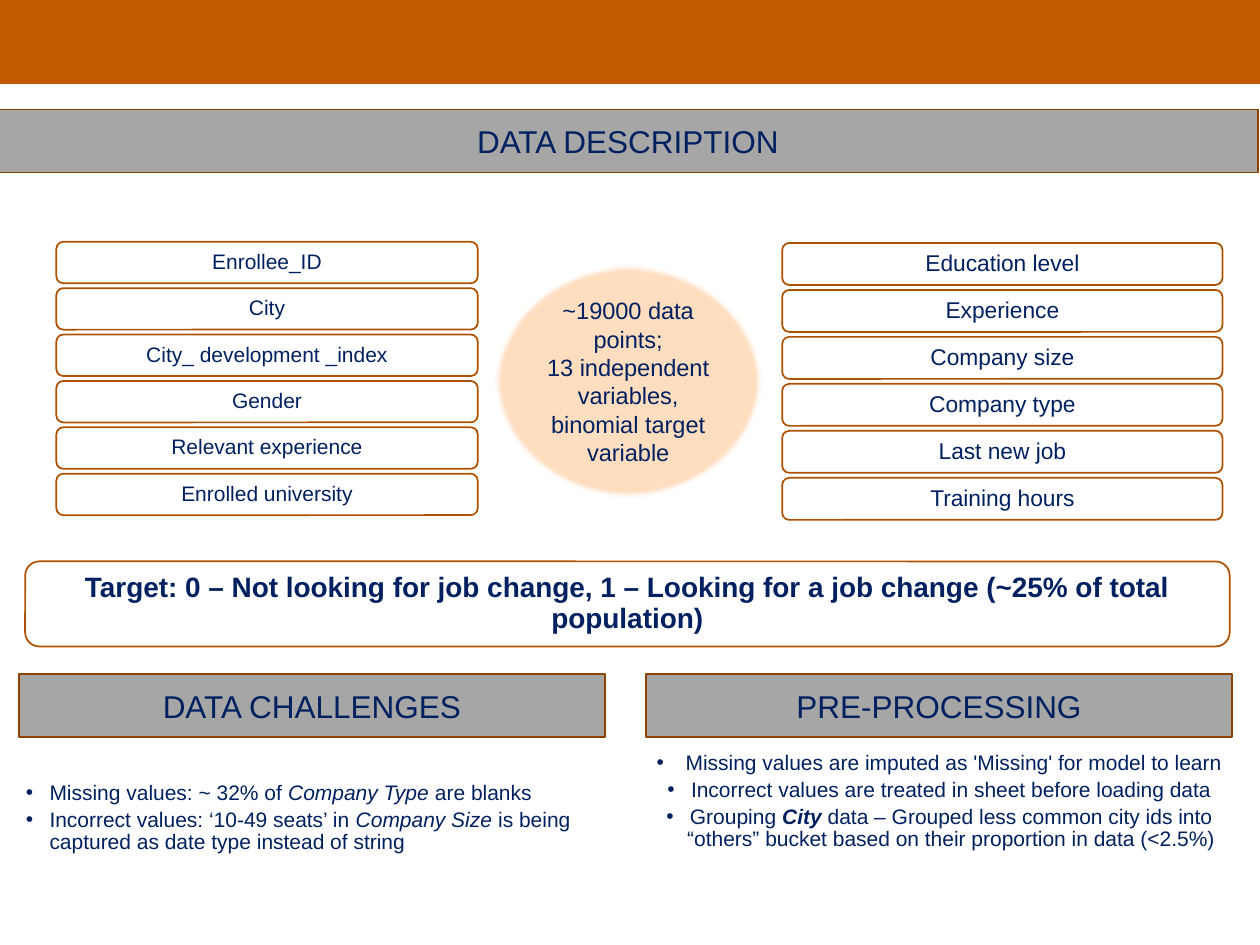
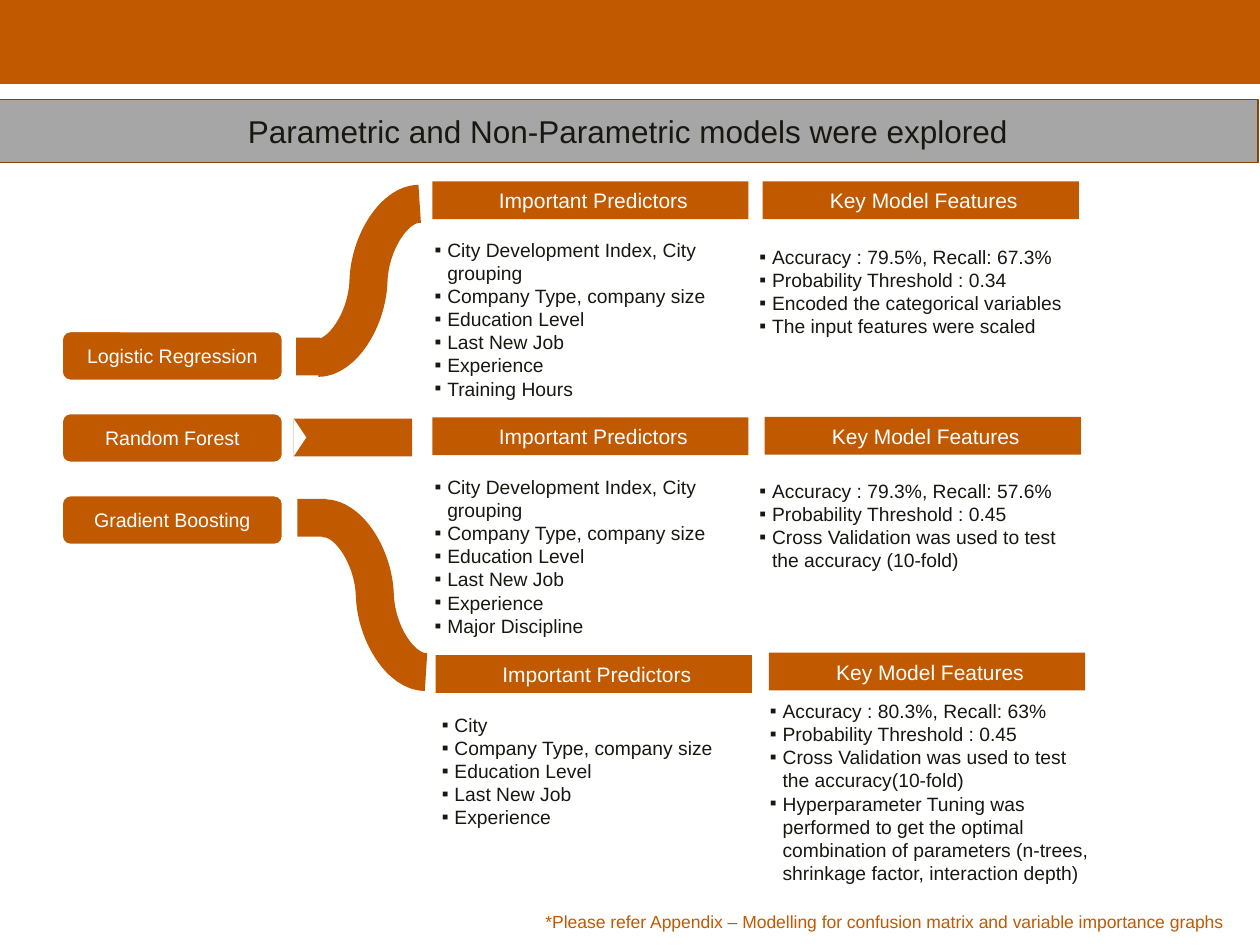
from dataclasses import dataclass

from lxml import etree
from pptx import Presentation
from pptx.dml.color import RGBColor
from pptx.enum import shapes, text
from pptx.oxml import ns
from pptx.util import Pt

KIND = shapes.MSO_SHAPE
MID, TOP = text.MSO_ANCHOR.MIDDLE, text.MSO_ANCHOR.TOP
CENTER, LEFT = text.PP_ALIGN.CENTER, text.PP_ALIGN.LEFT


@dataclass(frozen=True)
class Theme:
    font: str = "Arial"
    orange: str = "C05900"
    rust: str = "AE5100"
    brown: str = "8E4200"
    peach: str = "FFDDBF"
    gray: str = "A6A6A6"
    navy: str = "002060"
    ink: str = "181711"
    white: str = "FFFFFF"
    title: float = 18
    target: float = 16
    fact: float = 13.5
    large: float = 13
    body: float = 12
    model: float = 11.2
    item: float = 11
    note: float = 10


T = Theme()


# --- Shared helpers ---
def paint(shape, fill=None, line=None, width=1):
    if fill:
        shape.fill.solid()
        shape.fill.fore_color.rgb = RGBColor.from_string(fill)
    else:
        shape.fill.background()
    if line:
        shape.line.color.rgb = RGBColor.from_string(line)
        shape.line.width = Pt(width)
    else:
        shape.line.fill.background()


def mark(para, char, dent):
    """Give a paragraph a hanging bullet."""
    props = para._p.get_or_add_pPr()
    props.set("marL", str(Pt(dent)))
    props.set("indent", str(-Pt(dent)))
    etree.SubElement(props, ns.qn("a:buFont")).set("typeface", T.font)
    etree.SubElement(props, ns.qn("a:buChar")).set("char", char)


def write(shape, paras, size, color, align=CENTER, anchor=MID,
          inset=(7.2, 3.6, 7.2, 3.6), bullet=None, dents=(), **form):
    """Fill a shape; a paragraph is a string or a list of (text, style) runs."""
    frame = shape.text_frame
    left, top, right, bottom = (Pt(n) for n in inset)
    look = dict(word_wrap=True, auto_size=text.MSO_AUTO_SIZE.NONE,
                vertical_anchor=anchor, margin_left=left, margin_top=top,
                margin_right=right, margin_bottom=bottom)
    for name, value in look.items():
        setattr(frame, name, value)
    for i, runs in enumerate(paras):
        para = frame.add_paragraph() if i else frame.paragraphs[0]
        for name, value in dict(alignment=align, **form).items():
            if name != "bold":
                setattr(para, name, value)
        if bullet:
            mark(para, bullet, dents[min(i, len(dents) - 1)])
        for words, style in [(runs, "")] if isinstance(runs, str) else runs:
            run = para.add_run()
            run.text = words
            look = dict(name=T.font, size=Pt(size), italic="i" in style,
                        bold="b" in style or form.get("bold", False))
            for name, value in look.items():
                setattr(run.font, name, value)
            run.font.color.rgb = RGBColor.from_string(color)


def block(slide, box, fill=None, line=None, kind=KIND.RECTANGLE, width=1):
    shape = slide.shapes.add_shape(kind, *(Pt(n) for n in box))
    shape.shadow.inherit = False
    paint(shape, fill, line, width)
    return shape


def note(slide, box, paras, size, color, **form):
    frame = slide.shapes.add_textbox(*(Pt(n) for n in box))
    write(frame, paras, size, color, align=form.pop("align", LEFT),
          anchor=TOP, **form)


def start(deck, words, top, color):
    """Add a slide whose title is a gray bar."""
    slide = deck.slides.add_slide(deck.slide_layouts[5])
    title = slide.shapes.title
    spots = dict(left=-1.2, top=top, width=720, height=36)
    for name, value in spots.items():
        setattr(title, name, Pt(value))
    paint(title, T.gray, T.brown)
    write(title, [words], T.title, color)
    return slide


def brand(deck, slide):
    """Move the orange top band onto the shared layout."""
    band = block(slide, (0, 0, 720, 48), T.orange)
    deck.slide_layouts[5].shapes.element.insert(2, band.element)


# --- Data slide ---
def stack(slide, box, step, names, size, inset):
    left, top, width, height = box
    for i, name in enumerate(names):
        row = block(slide, (left, top + i * step, width, height),
                    T.white, T.rust, KIND.ROUNDED_RECTANGLE)
        write(row, [name], size, T.navy, inset=(inset,) * 4, line_spacing=0.9)


def topic(slide, box, head, shift, paras, drop=0, **form):
    """A gray heading over a bullet list that starts shift points left."""
    left, top, width, height = box
    bar = block(slide, box, T.gray, T.brown)
    write(bar, [head], T.title, T.navy)
    note(slide, (left - shift, top + 42.5, width + 17.3, 69.8), paras, T.body,
         T.navy, inset=(10.8, 2.2 + drop, 11.5, 2.2), bullet="•",
         line_spacing=0.9, space_after=Pt(2.4), **form)


def data(deck):
    slide = start(deck, "DATA DESCRIPTION", 62.6, T.navy)
    brand(deck, slide)

    # Variables and the fact between them
    stack(slide, (32.2, 138.2, 240.8, 23.7), 26.5,
          ["Enrollee_ID", "City", "City_ development _index", "Gender",
           "Relevant experience", "Enrolled university"], T.body, 5)
    stack(slide, (447, 138.8, 251.6, 24), 26.85,
          ["Education level", "Experience", "Company size", "Company type",
           "Last new job", "Training hours"], T.large, 4.8)
    oval = block(slide, (283, 151.6, 152, 132.5), T.peach, T.orange, KIND.OVAL, 0.75)
    effect = oval.element.spPr.find(ns.qn("a:effectLst"))
    etree.SubElement(effect, ns.qn("a:softEdge")).set("rad", str(Pt(2.5)))
    write(oval, ["~19000 data points;",
                 "13 independent variables, binomial target variable"],
          T.fact, T.navy)

    # Target
    goal = block(slide, (14.4, 320.8, 688.3, 48.6), T.white, T.rust,
                 KIND.ROUNDED_RECTANGLE)
    write(goal, ["Target: 0 – Not looking for job change, 1 – Looking for a "
                 "job change (~25% of total population)"],
          T.target, T.navy, inset=(7,) * 4, line_spacing=0.9, bold=True)

    # Issues and remedies
    topic(slide, (10.8, 385.2, 334.8, 36), "DATA CHALLENGES", 6.8, [
        [("Missing values: ~ 32% of ", ""), ("Company Type ", "i"),
         ("are blanks", "")],
        [("Incorrect values: ‘10-49 seats’ in ", ""), ("Company Size ", "i"),
         ("is being captured as date type instead of string", "")],
    ], drop=17, dents=(13.5,))
    topic(slide, (369.2, 385.2, 334.8, 36), "PRE-PROCESSING", 8, [
        "Missing values are imputed as 'Missing' for model to learn",
        "Incorrect values are treated in sheet before loading data",
        [("Grouping ", ""), ("City", "bi"),
         (" data – Grouped less common city ids into “others” bucket based "
          "on their proportion in data (<2.5%)", "")],
    ], align=CENTER, dents=(16.5, 13.5))


# --- Models slide ---
def panel(slide, spot, head, body, items):
    """An orange heading at spot and its list in the body box."""
    bar = block(slide, (*spot, 180.7, 21.6), T.orange)
    write(bar, [head], T.body, T.white, inset=(7.2, 3.6, 3.6, 3.6))
    note(slide, body, items, T.item, T.ink, inset=(0, 7.2, 0, 0),
         bullet="▪", dents=(7.2,))


def bend(slide, stub, start, end, turn):
    """A thick curved band that leaves a short stub."""
    block(slide, stub, T.orange)
    curve = slide.shapes.add_connector(
        shapes.MSO_CONNECTOR.CURVE, *(Pt(n) for n in (*start, *end)))
    curve.line.color.rgb = RGBColor.from_string(T.orange)
    curve.line.width = Pt(21.75)
    props = curve.element.spPr
    props.find(ns.qn("a:xfrm")).set("rot", str(turn * 60000))
    etree.SubElement(props, ns.qn("a:effectLst"))


def models(deck):
    slide = start(deck, "Parametric and Non-Parametric models were explored",
                  56.9, T.ink)

    # Model names
    names = ["Logistic Regression", "Random Forest", "Gradient Boosting"]
    for i, name in enumerate(names):
        tag = block(slide, (35.5, 189.4 + i * 46.9, 126, 28), T.orange, T.white,
                    KIND.ROUNDED_RECTANGLE)
        write(tag, [name], T.model, T.white)

    # Bands from the names to the panels
    bend(slide, (169.2, 193, 13.7, 21.6), (182.9, 205.5), (238.3, 115.5), 2)
    block(slide, (167.8, 239.2, 67.7, 21.6), T.orange)
    notch = block(slide, (160.6, 246.4, 21.6, 7.2), T.white,
                  kind=KIND.ISOSCELES_TRIANGLE)
    notch.rotation = 90
    bend(slide, (169.9, 285.1, 16.6, 21.6), (186.5, 295.2), (241.9, 385), 358)

    # Predictors and features
    common = ["Company Type, company size", "Education Level", "Last New Job",
              "Experience"]
    wide = ["City Development Index, City grouping", *common]
    check = "Cross Validation was used to test the accuracy"
    drivers = [
        ((247, 103.7), (248.4, 128.9, 177.8, 100), [*wide, "Training Hours"]),
        ((247, 238.5), (248.4, 264.4, 177.8, 100), [*wide, "Major Discipline"]),
        ((249, 374.4), (252.5, 400.4, 177, 92), ["City", *common]),
    ]
    traits = [
        ((435.8, 103.7), (434, 133, 177, 92), [
            "Accuracy : 79.5%, Recall: 67.3%", "Probability Threshold : 0.34",
            "Encoded the categorical variables", "The input features were scaled"]),
        ((437, 238.3), (434, 266.6, 177, 92), [
            "Accuracy : 79.3%, Recall: 57.6%", "Probability Threshold : 0.45",
            check + " (10-fold)"]),
        ((439.4, 373), (440, 392.4, 183.6, 121), [
            "Accuracy : 80.3%, Recall: 63%", "Probability Threshold : 0.45",
            check + "(10-fold)",
            "Hyperparameter Tuning was performed to get the optimal combination "
            "of parameters (n-trees, shrinkage factor, interaction depth)"]),
    ]
    for head, rows in (("Important Predictors", drivers),
                       ("Key Model Features", traits)):
        for spot, body, items in rows:
            panel(slide, spot, head, body, items)

    # Footnote
    note(slide, (304.6, 517, 407.5, 19.4),
         ["*Please refer Appendix – Modelling for confusion matrix and "
          "variable importance graphs"], T.note, T.orange)


def main():
    deck = Presentation()
    deck.slide_width, deck.slide_height = Pt(720), Pt(540)
    data(deck)
    models(deck)
    deck.save("out.pptx")


if __name__ == "__main__":
    main()
